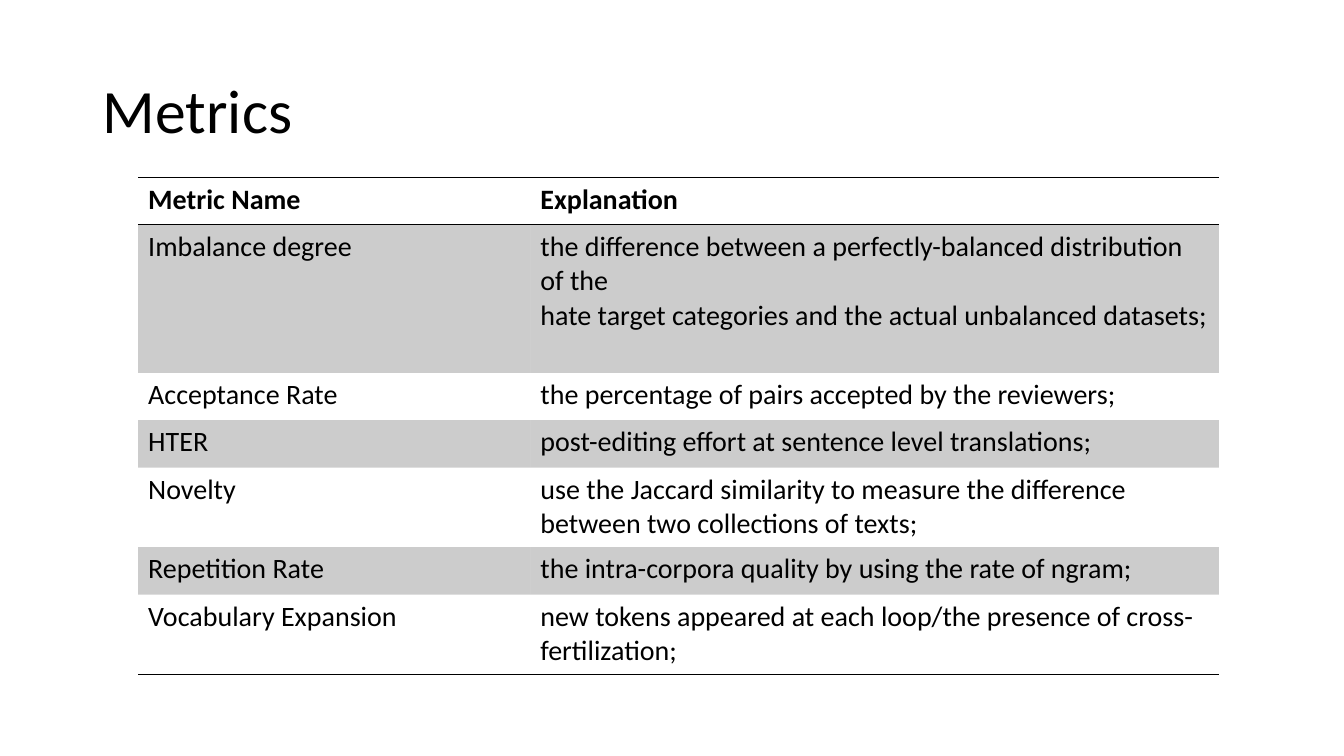
from dataclasses import dataclass

from lxml import etree
from pptx import Presentation
from pptx.dml.color import RGBColor
from pptx.enum.text import MSO_ANCHOR, PP_ALIGN
from pptx.oxml.ns import qn
from pptx.util import Inches, Pt

MIDDLE = MSO_ANCHOR.MIDDLE
LEFT = PP_ALIGN.LEFT
TITLE_ONLY = 5
NO_STYLE_NO_GRID = "{2D5ABB26-0587-4C30-8999-92F81FD0307C}"


@dataclass(frozen=True)
class Theme:
    font: str = "Calibri"
    ink: str = "000000"
    band_opacity: int = 20
    title_size: int = 44
    table_size: int = 20
    rule_width: int = 1


THEME = Theme()

COLUMN_WIDTHS = (3.89, 6.83)
METRICS = [
    (0.47, "Metric Name", ["Explanation"]),
    (1.47, "Imbalance degree", [
        "the difference between a perfectly-balanced distribution of the",
        "hate target categories and the actual unbalanced datasets;",
    ]),
    (0.47, "Acceptance Rate", ["the percentage of pairs accepted by the reviewers;"]),
    (0.47, "HTER", ["post-editing effort at sentence level translations;"]),
    (0.79, "Novelty", [
        "use the Jaccard similarity to measure the difference between two collections of texts;",
    ]),
    (0.47, "Repetition Rate", ["the intra-corpora quality by using the rate of ngram;"]),
    (0.79, "Vocabulary Expansion", [
        "new tokens appeared at each loop/the presence of cross-fertilization;",
    ]),
]


def add_span(para, text, size, bold=False):
    span = para.add_run()
    span.text = text
    span.font.name = THEME.font
    span.font.size = Pt(size)
    span.font.bold = bold
    span.font.color.rgb = RGBColor.from_string(THEME.ink)


def set_title(slide, text):
    title = slide.shapes.title
    title.left, title.top = Inches(0.92), Inches(0.4)
    title.width, title.height = Inches(11.5), Inches(1.45)
    frame = title.text_frame
    frame.vertical_anchor = MIDDLE
    para = frame.paragraphs[0]
    para.alignment = LEFT
    para.line_spacing = 0.9
    add_span(para, text, THEME.title_size)


def fill_cell_text(cell, lines, bold):
    frame = cell.text_frame
    for index, line in enumerate(lines):
        para = frame.add_paragraph() if index else frame.paragraphs[0]
        add_span(para, line, THEME.table_size, bold)


def add_rule(cell, side):
    """Draw a border on one side of a cell: lnT is the top, lnB the bottom."""
    properties = cell._tc.get_or_add_tcPr()
    rule = etree.SubElement(properties, qn(f"a:{side}"), w=str(Pt(THEME.rule_width)))
    fill = etree.SubElement(rule, qn("a:solidFill"))
    etree.SubElement(fill, qn("a:srgbClr"), val=THEME.ink)


def shade(cell):
    """Fill a cell with the translucent band colour."""
    cell.fill.solid()
    cell.fill.fore_color.rgb = RGBColor.from_string(THEME.ink)
    colour = cell._tc.tcPr.find(".//" + qn("a:solidFill") + "/" + qn("a:srgbClr"))
    etree.SubElement(colour, qn("a:alpha"), val=str(THEME.band_opacity * 1000))


def add_metrics_table(slide):
    height = sum(row_height for row_height, _, _ in METRICS)
    table = slide.shapes.add_table(
        len(METRICS), len(COLUMN_WIDTHS), Inches(1.37), Inches(1.76),
        Inches(sum(COLUMN_WIDTHS)), Inches(height),
    ).table
    table._tbl.tblPr.find(qn("a:tableStyleId")).text = NO_STYLE_NO_GRID
    for column, width in zip(table.columns, COLUMN_WIDTHS):
        column.width = Inches(width)

    last = len(METRICS) - 1
    for index, (row_height, name, explanation) in enumerate(METRICS):
        row = table.rows[index]
        row.height = Inches(row_height)
        for cell, lines in zip(row.cells, ([name], explanation)):
            fill_cell_text(cell, lines, bold=index == 0)
            if index == 0:
                add_rule(cell, "lnT")
            if index in (0, last):
                add_rule(cell, "lnB")
            if index % 2:
                shade(cell)
            else:
                cell.fill.background()


def main():
    deck = Presentation()
    deck.slide_width, deck.slide_height = Inches(13.33), Inches(7.5)
    slide = deck.slides.add_slide(deck.slide_layouts[TITLE_ONLY])
    set_title(slide, "Metrics")
    add_metrics_table(slide)
    deck.save("out.pptx")


if __name__ == "__main__":
    main()
